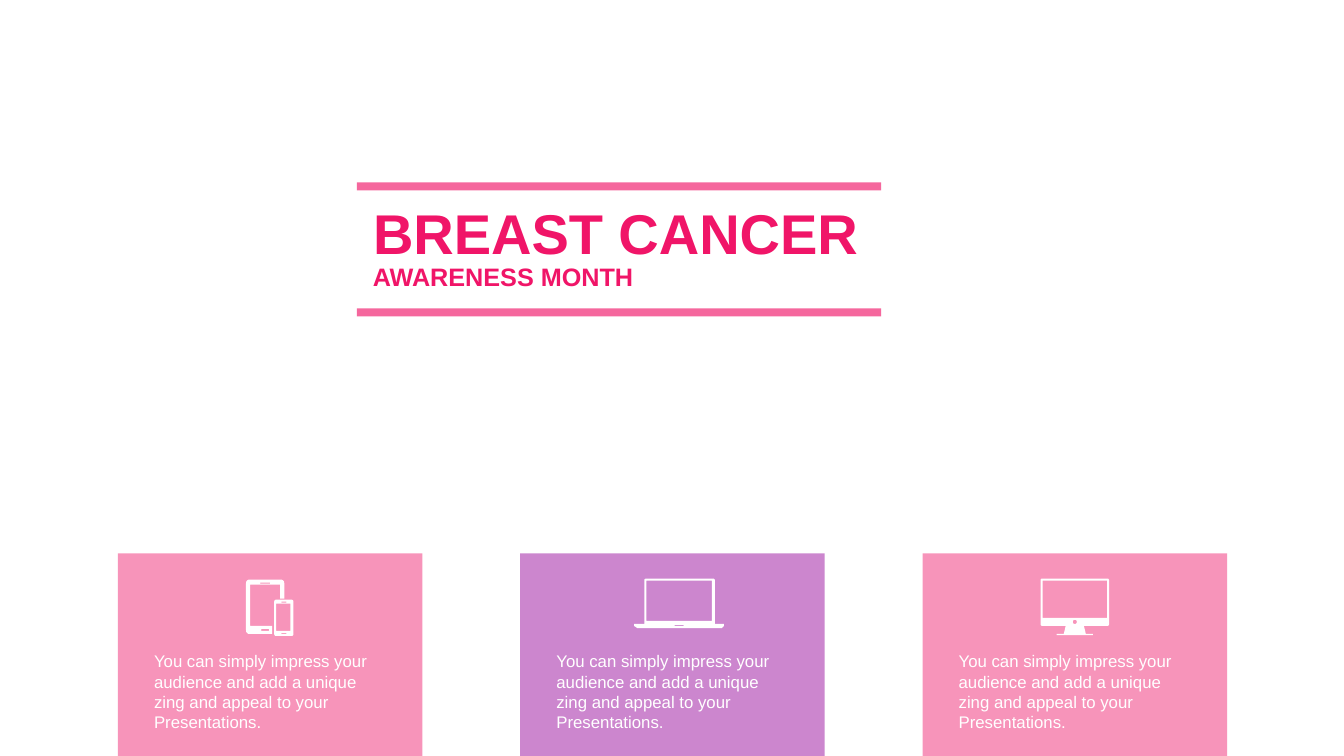
import math

import pptx
import pptx.dml.color
import pptx.enum.shapes
import pptx.enum.text
import pptx.oxml.ns
import pptx.util
from lxml import etree

PX = 9144
FINE = 10
PINK, PURPLE, MAGENTA, WHITE = "F5679D", "B754BA", "F01568", "FFFFFF"
CARD_TEXT = ("You can simply impress your audience and add a unique zing "
             "and appeal to your Presentations.")


def px(*values):
    return [pptx.util.Emu(v * PX) for v in values]


def color(hex_text):
    return pptx.dml.color.RGBColor.from_string(hex_text)


def paint(sp, fill, alpha=100):
    sp.shadow.inherit = False
    sp.fill.solid()
    sp.fill.fore_color.rgb = color(fill)
    sp.line.fill.background()
    if alpha < 100:
        clr = sp.fill._xPr.find(".//" + pptx.oxml.ns.qn("a:srgbClr"))
        etree.SubElement(clr, pptx.oxml.ns.qn("a:alpha"), val=str(alpha * 1000))


def add_rect(s, x, y, w, h, fill, alpha=100):
    sp = s.shapes.add_shape(pptx.enum.shapes.MSO_SHAPE.RECTANGLE, *px(x, y, w, h))
    paint(sp, fill, alpha)


def write(sp, text, size, fill, bold=False, align=pptx.enum.text.PP_ALIGN.LEFT):
    tf = sp.text_frame
    tf.word_wrap = True
    tf.auto_size = pptx.enum.text.MSO_AUTO_SIZE.SHAPE_TO_FIT_TEXT
    tf.vertical_anchor = pptx.enum.text.MSO_ANCHOR.TOP
    p = tf.paragraphs[0]
    p.alignment = align
    r = p.add_run()
    r.text = text
    r.font.name = "Arial"
    r.font.size = pptx.util.Pt(size)
    r.font.bold = bold
    r.font.color.rgb = color(fill)


def add_text(s, x, y, w, h, *style):
    write(s.shapes.add_textbox(*px(x, y, w, h)), *style)


def set_title(s, x, y, w, h, *style):
    sp = s.shapes.title
    sp.left, sp.top, sp.width, sp.height = px(x, y, w, h)
    write(sp, *style)


def toward(start, end, distance):
    part = distance / math.dist(start, end)
    return [a + (b - a) * part for a, b in zip(start, end)]


def outline(*corners):
    points = []
    for i, (x, y, *radius) in enumerate(corners):
        if not radius:
            points.append((x, y))
            continue
        a = toward((x, y), corners[i - 1][:2], radius[0])
        b = toward((x, y), corners[(i + 1) % len(corners)][:2], radius[0])
        for t in (0, 0.25, 0.5, 0.75, 1):
            points.append([(1 - t) ** 2 * m + 2 * t * (1 - t) * n + t * t * o
                           for m, n, o in zip(a, (x, y), b)])
    return [(x * FINE, y * FINE) for x, y in points]


def box(x0, y0, x1, y1, *radius):
    return outline((x0, y0, *radius), (x1, y0, *radius),
                   (x1, y1, *radius), (x0, y1, *radius))


def add_icon(s, *outlines):
    fb = s.shapes.build_freeform(*outlines[0][0], scale=PX / FINE)
    for i, points in enumerate(outlines):
        if i:
            fb.move_to(*points[0])
        fb.add_line_segments(points[1:], close=True)
    paint(fb.convert_to_shape(), WHITE)


def add_mobile_icon(s):
    tablet = outline((244, 575, 4), (282, 575, 4), (282, 594), (278, 594),
                     (278, 580), (248, 580), (248, 621), (270, 621),
                     (270, 629), (244, 629, 4))
    add_icon(s, tablet, box(258, 578, 268, 579), box(259, 624, 267, 626, 1),
             box(272, 595, 291, 631, 2), box(274, 599, 288, 626),
             box(279, 597, 284, 598), box(279, 628, 284, 629))


def add_laptop_icon(s):
    body = outline((639, 574, 2), (709, 574, 2), (709, 619), (718, 619),
                   (718, 621), (716, 623), (632, 623), (629, 621),
                   (629, 619), (639, 619))
    add_icon(s, body, box(641, 576, 706, 616), box(669, 620, 678, 621))


def add_monitor_icon(s):
    body = outline((1032, 574, 2), (1100, 574, 2), (1100, 621, 2), (1075, 621),
                   (1077, 629), (1084, 629), (1084, 630), (1048, 630),
                   (1048, 629), (1055, 629), (1057, 621), (1032, 621, 2))
    add_icon(s, body, box(1034, 576, 1098, 613), box(1064, 615, 1068, 619, 2))


def add_card(s, x, fill, add_device_icon):
    add_rect(s, x, 549, 302, 201, fill, 70)
    add_device_icon(s)
    add_text(s, x + 26, 641, 250, 91, CARD_TEXT, 12, WHITE)


def main():
    prs = pptx.Presentation()
    prs.slide_width, prs.slide_height = px(1333, 750)
    s = prs.slides.add_slide(prs.slide_layouts.get_by_name("Title Only"))
    justify = pptx.enum.text.PP_ALIGN.JUSTIFY
    set_title(s, 360, 192, 514, 77, "BREAST CANCER", 40, MAGENTA, True, justify)
    add_text(s, 360, 254, 514, 40, "AWARENESS MONTH", 18, MAGENTA, True, justify)
    for y in (181, 306):
        add_rect(s, 354, y, 520, 8, PINK)
    cards = [(PINK, add_mobile_icon), (PURPLE, add_laptop_icon),
             (PINK, add_monitor_icon)]
    for i, (fill, add_device_icon) in enumerate(cards):
        add_card(s, 117 + 399 * i, fill, add_device_icon)
    prs.save("out.pptx")


if __name__ == "__main__":
    main()
